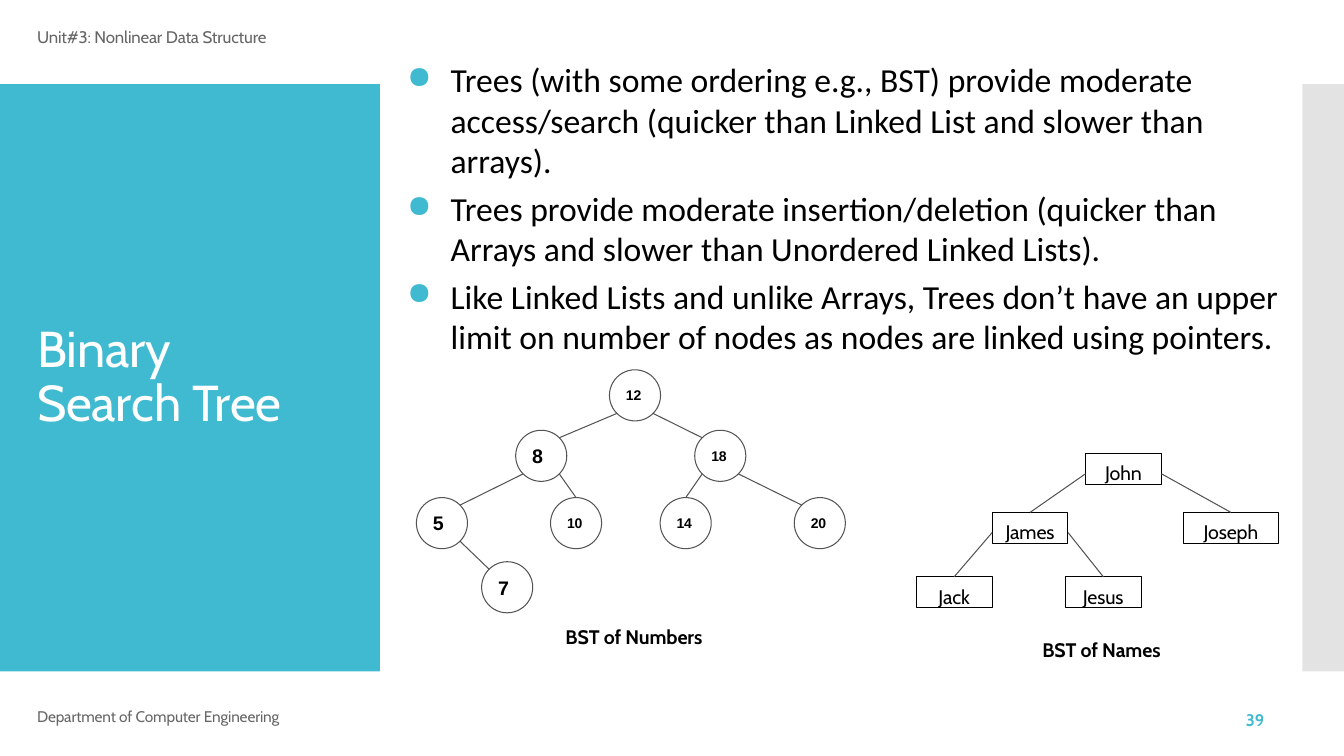
import math
from lxml import etree
from pptx import Presentation
from pptx.dml.color import RGBColor
from pptx.enum import shapes, text
from pptx.oxml import ns
from pptx.util import Pt

COLORS = {"teal": "40BAD1", "panel": "C8C8C8", "grey": "666666", "edge": "545454",
          "black": "000000", "white": "FFFFFF"}
DIAMETER = 36.5
RADIUS = DIAMETER / 2
DIAGONAL = RADIUS * math.cos(math.pi / 4)
NAME_HEIGHT, NAME_EDGE_DROP = 22.3, 14.4

# Node centres; number and name edges run from parent to child
NUMBERS = {"12": (453.6, 282.4), "8": (386.6, 325.6), "18": (514.5, 325.6),
           "5": (315.7, 373.7), "10": (411.5, 373.7), "14": (489.8, 373.7),
           "20": (585.6, 373.7), "7": (362.3, 419.5)}
NUMBER_EDGES = [("12", "8"), ("12", "18"), ("8", "5"), ("8", "10"),
                ("18", "14"), ("18", "20"), ("5", "7")]
TOP_JOINED = {"10", "14"}
# Left, top and width of each name box
NAMES = {"John": (775.4, 324, 54.2), "James": (708.7, 366, 54.2),
         "Joseph": (845.2, 366, 68), "Jack": (654.5, 412, 54.2),
         "Jesus": (761, 412, 54.2)}
NAME_EDGES = [("John", "James"), ("John", "Joseph"), ("James", "Jack"), ("James", "Jesus")]
POINTS = [
    "Trees (with some ordering e.g., BST) provide moderate access/search "
    "(quicker than Linked List and slower than arrays).",
    "Trees provide moderate insertion/deletion (quicker than Arrays and slower "
    "than Unordered Linked Lists).",
    "Like Linked Lists and unlike Arrays, Trees don’t have an upper limit on "
    "number of nodes as nodes are linked using pointers.",
]


def rgb(color):
    return RGBColor.from_string(COLORS[color])


def add_xml(parent, tag, **attributes):
    return etree.SubElement(parent, ns.qn(tag), attributes)


class SlideBuilder:
    def __init__(self, page):
        self.page = page

    def fill_text(self, frame, lines, size, color="black", font="Cabin", bold=False,
                  inset=(0, 0), tracking=-10, paragraph_format=None):
        """Fill a text frame; inset is (left, top), tracking is in 1/100 point."""
        left, top = inset
        layout = {"word_wrap": True, "margin_left": Pt(left), "margin_top": Pt(top),
                  "margin_right": 0, "margin_bottom": 0}
        for key, value in layout.items():
            setattr(frame, key, value)
        for index, line in enumerate(lines):
            para = frame.add_paragraph() if index else frame.paragraphs[0]
            settings = {"alignment": text.PP_ALIGN.LEFT, **(paragraph_format or {})}
            for key, value in settings.items():
                setattr(para, key, value)
            span = para.add_run()
            span.text = line
            for key, value in {"name": font, "size": Pt(size), "bold": bold}.items():
                setattr(span.font, key, value)
            span.font.color.rgb = rgb(color)
            if tracking:
                span.font._element.set("spc", str(tracking))

    def label(self, left, top, width, height, lines, size, **style):
        box = self.page.shapes.add_textbox(Pt(left), Pt(top), Pt(width), Pt(height))
        self.fill_text(box.text_frame, lines, size, **style)
        return box

    def bullets(self, left, top, width, height, lines):
        box = self.label(left, top, width, height, lines, 24, font="Calibri", inset=(0, 5),
                         tracking=0, paragraph_format={"space_before": Pt(5.2)})
        for para in box.text_frame.paragraphs:
            properties = para._p.get_or_add_pPr()
            properties.set("marL", str(Pt(32.5)))
            properties.set("indent", str(-Pt(31)))
            add_xml(add_xml(properties, "a:buClr"), "a:srgbClr", val=COLORS["teal"])
            add_xml(properties, "a:buSzPct", val="92000")
            add_xml(properties, "a:buChar", char="●")

    def shape(self, kind, left, top, width, height, fill=None, line=None, alpha=None):
        shape = self.page.shapes.add_shape(kind, Pt(left), Pt(top), Pt(width), Pt(height))
        shape.shadow.inherit = False
        if fill:
            shape.fill.solid()
            shape.fill.fore_color.rgb = rgb(fill)
        else:
            shape.fill.background()
        if line:
            shape.line.color.rgb = rgb(line)
            shape.line.width = Pt(0.75)
        else:
            shape.line.fill.background()
        if alpha:
            color = shape._element.spPr.find(".//" + ns.qn("a:srgbClr"))
            add_xml(color, "a:alpha", val=str(alpha * 1000))
        return shape

    def panel(self, left, width, fill, alpha=None):
        self.shape(shapes.MSO_SHAPE.RECTANGLE, left, 60, width, 419.5, fill, alpha=alpha)

    def number_node(self, number, x, y):
        node = self.shape(shapes.MSO_SHAPE.OVAL, x - RADIUS, y - RADIUS,
                          DIAMETER, DIAMETER, line="edge")
        node.text_frame.vertical_anchor = text.MSO_ANCHOR.MIDDLE
        self.fill_text(node.text_frame, [number], 14 if len(number) == 1 else 10,
                       font="Arial", bold=True, inset=(6.5, 0))

    def name_node(self, name, left, top, width):
        node = self.shape(shapes.MSO_SHAPE.RECTANGLE, left, top, width, NAME_HEIGHT,
                          line="black")
        node.text_frame.vertical_anchor = text.MSO_ANCHOR.TOP
        self.fill_text(node.text_frame, [name], 14, inset=(0, 5.5),
                       paragraph_format={"alignment": text.PP_ALIGN.CENTER})
        return node

    def edge(self, start, end):
        points = [Pt(value) for value in (*start, *end)]
        line = self.page.shapes.add_connector(shapes.MSO_CONNECTOR.STRAIGHT, *points)
        line.line.color.rgb = rgb("edge")
        line.line.width = Pt(0.75)
        add_xml(line._element.spPr, "a:effectLst")
        return line

    def number_tree(self):
        for number, (x, y) in NUMBERS.items():
            self.number_node(number, x, y)
        for parent, child in NUMBER_EDGES:
            (px, py), (cx, cy) = NUMBERS[parent], NUMBERS[child]
            shift = math.copysign(DIAGONAL, cx - px)
            end = (cx, cy - RADIUS) if child in TOP_JOINED else (cx - shift, cy - DIAGONAL)
            self.edge((px + shift, py + DIAGONAL), end)

    def name_tree(self):
        nodes = {name: self.name_node(name, *place) for name, place in NAMES.items()}
        for parent, child in NAME_EDGES:
            left, top, width = NAMES[parent]
            child_left, child_top, child_width = NAMES[child]
            start_x = left if child_left < left else left + width
            line = self.edge((start_x, top + NAME_EDGE_DROP),
                             (child_left + child_width / 2, child_top))
            line.end_connect(nodes[child], 0)


def main():
    deck = Presentation()
    deck.slide_width, deck.slide_height = Pt(960), Pt(540)
    builder = SlideBuilder(deck.slides.add_slide(deck.slide_layouts[6]))

    builder.panel(0, 271.3, "teal")
    builder.panel(930.3, 29.7, "panel", alpha=50)
    builder.label(26.5, 18, 165, 32, ["Unit#3: Nonlinear Data Structure"], 12,
                  color="grey", inset=(0, 1))
    builder.label(26.5, 224.6, 200, 84, ["Binary Search Tree"], 36, color="white",
                  inset=(0, 5.8), paragraph_format={"line_spacing": Pt(39)})
    builder.number_tree()
    builder.label(403.9, 445.7, 102, 18, ["BST of Numbers"], 14, bold=True, inset=(0, 1))
    builder.name_tree()
    builder.label(744.5, 454.5, 90, 18, ["BST of Names"], 14, bold=True, inset=(0, 1))
    builder.label(26.5, 506.9, 185, 13, ["Department of Computer Engineering"], 11,
                  color="grey", paragraph_format={"line_spacing": Pt(11.4)})
    builder.label(889.9, 509, 20, 13.5, ["39"], 12, color="teal", bold=True, tracking=0,
                  paragraph_format={"line_spacing": Pt(12.3)})
    builder.bullets(289.4, 37.4, 628.6, 252, POINTS)
    deck.save("out.pptx")


if __name__ == "__main__":
    main()
